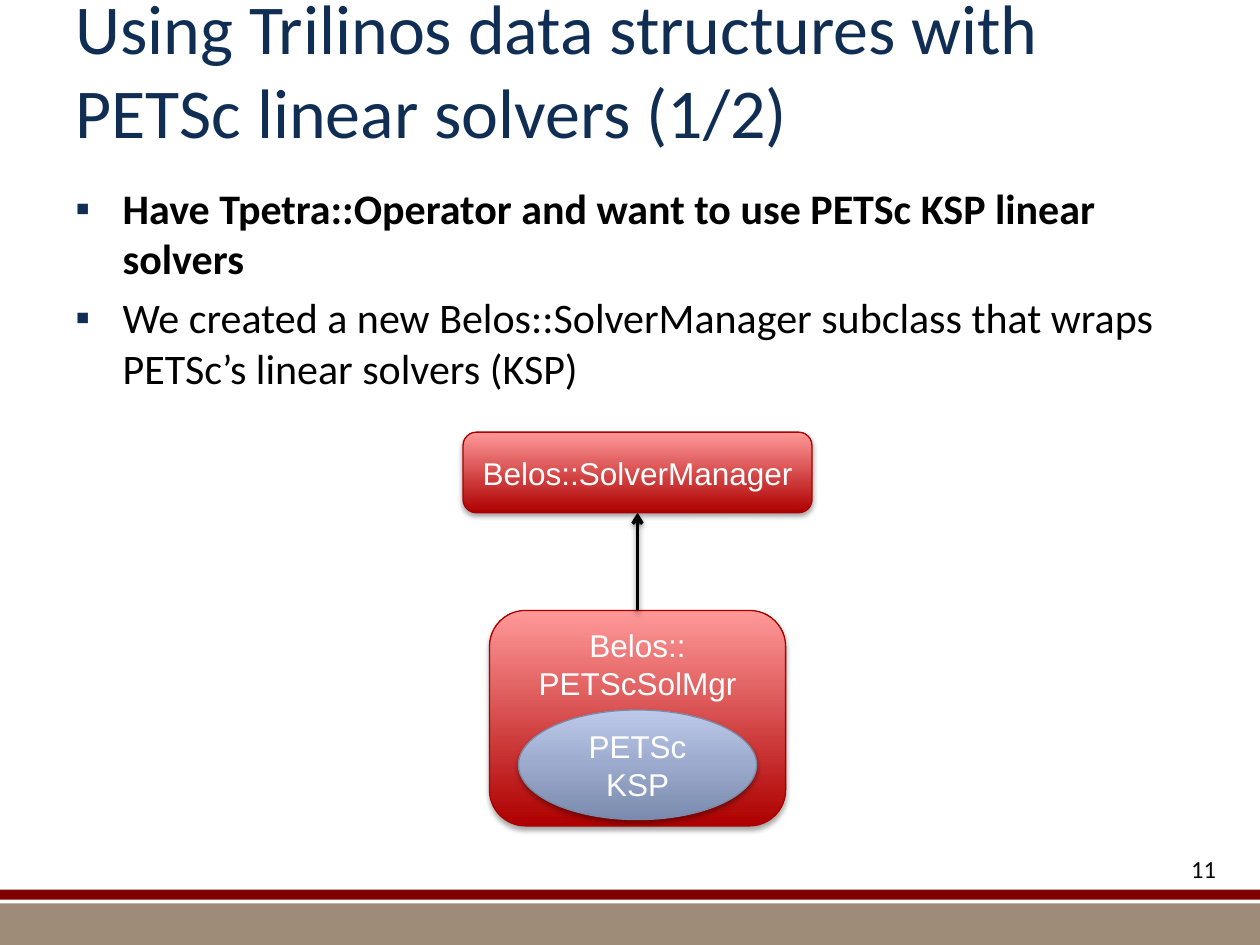
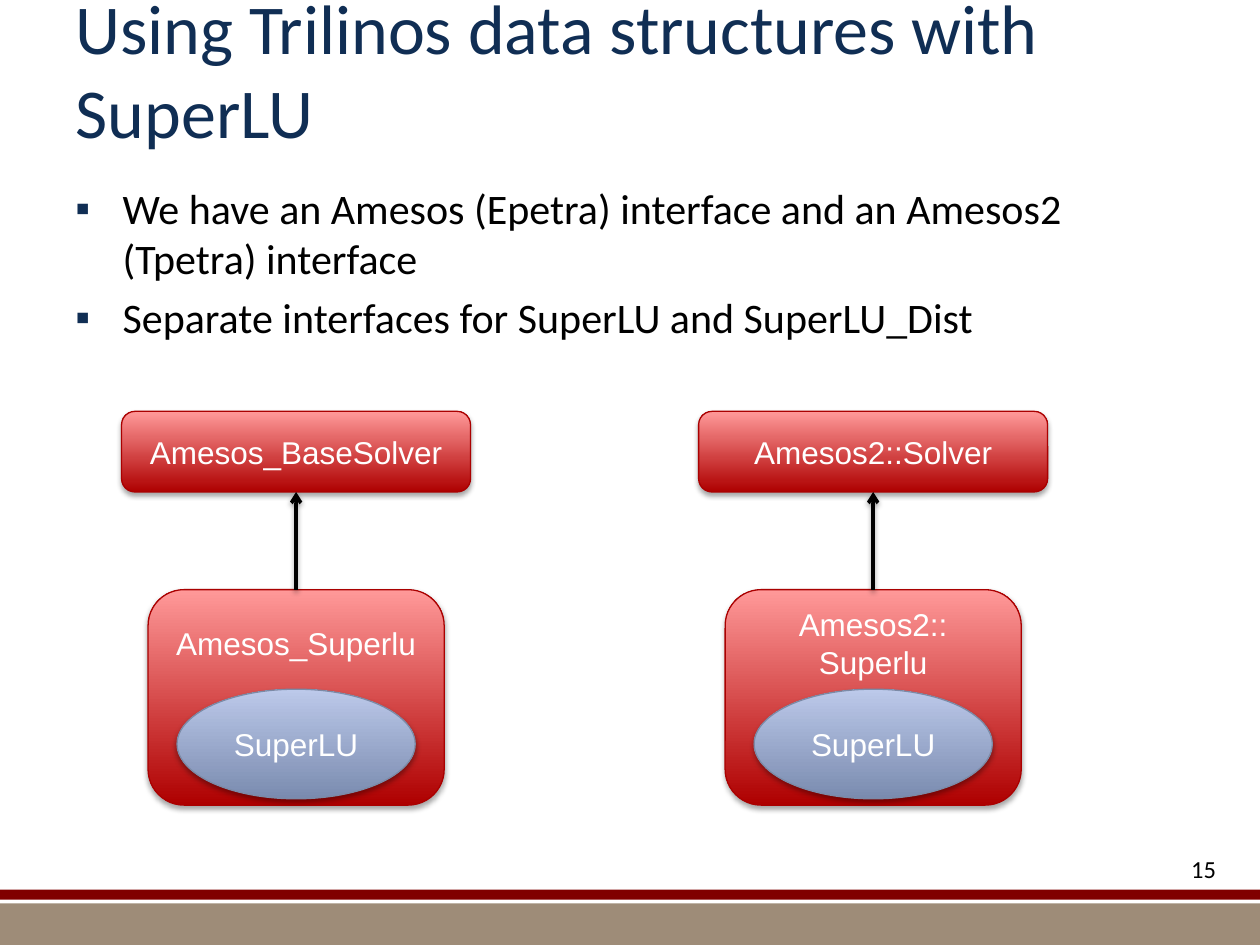
from dataclasses import dataclass

from lxml.etree import SubElement
from pptx import Presentation
from pptx.dml.color import RGBColor
from pptx.enum.shapes import MSO_CONNECTOR, MSO_SHAPE
from pptx.enum.text import MSO_ANCHOR, MSO_AUTO_SIZE, PP_ALIGN
from pptx.oxml.ns import qn
from pptx.util import Emu, Inches, Pt

SLIDE_WIDTH, SLIDE_HEIGHT = Inches(10), Inches(7.5)
COLUMNS, ROWS = 20, 15
TITLE_ONLY = 5


@dataclass(frozen=True)
class Theme:
    navy: str = "102E54"
    black: str = "000000"
    white: str = "FFFFFF"
    tan: str = "9E8C78"
    maroon: str = "800000"
    # Gradients run from bottom to top
    red_gradient: tuple = ("AE0000", "FF9999")
    red_line: str = "AA0000"
    blue_gradient: tuple = ("7A8BAF", "BCC9EA")
    blue_line: str = "7C8AA6"
    text_font: str = "Calibri"
    diagram_font: str = "Arial"
    title_size: float = 40
    body_size: float = 24
    diagram_size: float = 18
    number_size: float = 14
    outline_width: float = 0.75
    arrow_width: float = 2


THEME = Theme()


# Grid: one column and one row are each a fixed share of the slide
def columns(count):
    return Emu(round(SLIDE_WIDTH * count / COLUMNS))


def rows(count):
    return Emu(round(SLIDE_HEIGHT * count / ROWS))


def cell(left, top, width, height):
    return columns(left), rows(top), columns(width), rows(height)


# Text
def write(paragraph, text, size, color, font=THEME.text_font, bold=False,
          alignment=PP_ALIGN.LEFT):
    paragraph.alignment = alignment
    for index, line in enumerate(text.split("\n")):
        if index:
            paragraph.add_line_break()
        run = paragraph.add_run()
        run.text = line
        run.font.name = font
        run.font.size = Pt(size)
        run.font.bold = bold
        run.font.color.rgb = RGBColor.from_string(color)


def paragraphs_for(text_frame, texts):
    """Pair each text with its paragraph, adding paragraphs as needed."""
    for index, text in enumerate(texts):
        yield (text_frame.add_paragraph() if index else text_frame.paragraphs[0]), text


def add_text_frame(slide, area):
    text_frame = slide.shapes.add_textbox(*area).text_frame
    text_frame.word_wrap = True
    return text_frame


def set_bullet(paragraph):
    paragraph.space_before = Pt(THEME.body_size * 0.2)
    properties = paragraph._p.get_or_add_pPr()
    indent = columns(0.75)
    properties.set("marL", str(indent))
    properties.set("indent", str(-indent))
    color = SubElement(properties, qn("a:buClr"))
    SubElement(color, qn("a:srgbClr"), val=THEME.navy)
    SubElement(properties, qn("a:buFont"), typeface=THEME.diagram_font)
    SubElement(properties, qn("a:buChar"), char="▪")


def add_bullets(slide, bullets):
    text_frame = add_text_frame(slide, cell(1, 2.8, 18, 10.6))
    for paragraph, (text, bold) in paragraphs_for(text_frame, bullets):
        set_bullet(paragraph)
        write(paragraph, text, THEME.body_size, THEME.black, bold=bold)


# Shared slide frame
def add_titled_slide(presentation, title, number):
    slide = presentation.slides.add_slide(presentation.slide_layouts[TITLE_ONLY])
    placeholder = slide.shapes.title
    placeholder.left, placeholder.top, placeholder.width, placeholder.height = cell(
        1, 0, 18, 2.16)
    text_frame = placeholder.text_frame
    text_frame.word_wrap = True
    text_frame.auto_size = MSO_AUTO_SIZE.NONE
    text_frame.vertical_anchor = MSO_ANCHOR.MIDDLE
    write(text_frame.paragraphs[0], title, THEME.title_size, THEME.navy)

    number_frame = add_text_frame(slide, cell(18.16, 13.46, 1.34, 0.82))
    write(number_frame.paragraphs[0], number, THEME.number_size, THEME.black,
          alignment=PP_ALIGN.RIGHT)
    return slide


def add_layout_bands(slide):
    """Draw the footer bands and hand them to the layout all slides share."""
    for top, height, color in ((14.34, 0.66, THEME.tan), (14.12, 0.16, THEME.maroon)):
        band = slide.shapes.add_shape(
            MSO_SHAPE.RECTANGLE, *cell(0, top, COLUMNS, height))
        band.shadow.inherit = False
        band.fill.solid()
        band.fill.fore_color.rgb = RGBColor.from_string(color)
        band.line.fill.background()
        slide.slide_layout.shapes.element.append(band.element)


# Diagram
def add_shadow(shape, distance, opacity):
    effects = SubElement(shape.element.spPr, qn("a:effectLst"))
    shadow = SubElement(effects, qn("a:outerShdw"), blurRad=str(Pt(3.1)),
                        dist=str(Pt(distance)), dir="5400000", rotWithShape="0")
    color = SubElement(shadow, qn("a:srgbClr"), val=THEME.black)
    SubElement(color, qn("a:alpha"), val=str(opacity * 1000))


def add_node(slide, kind, area, texts, gradient, outline, bottom_margin=0.1):
    node = slide.shapes.add_shape(kind, *area)
    node.fill.gradient()
    node.fill.gradient_angle = 90
    for stop, color in zip(node.fill.gradient_stops, gradient):
        stop.color.rgb = RGBColor.from_string(color)
    for position, stop in enumerate(node.fill.gradient_stops):
        stop.position = position
    node.line.color.rgb = RGBColor.from_string(outline)
    node.line.width = Pt(THEME.outline_width)
    add_shadow(node, 1.8, 35)

    text_frame = node.text_frame
    text_frame.word_wrap = True
    text_frame.vertical_anchor = MSO_ANCHOR.MIDDLE
    text_frame.margin_bottom = rows(bottom_margin)
    for paragraph, text in paragraphs_for(text_frame, texts):
        write(paragraph, text, THEME.diagram_size, THEME.white, THEME.diagram_font,
              alignment=PP_ALIGN.CENTER)
    return node


def add_inheritance_arrow(slide, subclass, base):
    arrow = slide.shapes.add_connector(MSO_CONNECTOR.STRAIGHT, 0, 0, 0, 0)
    arrow.begin_connect(subclass, 0)
    arrow.end_connect(base, 2)
    arrow.line.color.rgb = RGBColor.from_string(THEME.black)
    arrow.line.width = Pt(THEME.arrow_width)
    SubElement(arrow.line._get_or_add_ln(), qn("a:tailEnd"), type="arrow")
    add_shadow(arrow, 1.6, 38)


def add_wrapper_diagram(slide, center, top, base_name, subclass_names, library):
    """Base class above a subclass that encloses the wrapped library."""
    def centered(offset, width, height):
        return cell(center - width / 2, top + offset, width, height)

    red = THEME.red_gradient, THEME.red_line
    base = add_node(slide, MSO_SHAPE.ROUNDED_RECTANGLE, centered(0, 5.54, 1.28),
                    [base_name], *red)
    # The deep bottom margin keeps the class name above the ellipse
    subclass = add_node(slide, MSO_SHAPE.ROUNDED_RECTANGLE, centered(2.83, 4.7, 3.42),
                        subclass_names, *red, bottom_margin=1.82)
    add_inheritance_arrow(slide, subclass, base)
    add_node(slide, MSO_SHAPE.OVAL, centered(4.41, 3.78, 1.74), [library],
             THEME.blue_gradient, THEME.blue_line)


def main():
    presentation = Presentation()
    presentation.slide_width, presentation.slide_height = SLIDE_WIDTH, SLIDE_HEIGHT

    # PETSc solvers
    petsc = add_titled_slide(
        presentation,
        "Using Trilinos data structures with \nPETSc linear solvers (1/2)", "11")
    add_bullets(petsc, [
        ("Have Tpetra::Operator and want to use PETSc KSP linear solvers", True),
        ("We created a new Belos::SolverManager subclass that wraps "
         "PETSc’s linear solvers (KSP)", False),
    ])
    add_wrapper_diagram(petsc, 10.12, 6.86, "Belos::SolverManager",
                        ["Belos::", "PETScSolMgr"], "PETSc KSP")

    # SuperLU interfaces
    superlu = add_titled_slide(
        presentation, "Using Trilinos data structures with \nSuperLU", "15")
    add_bullets(superlu, [
        ("We have an Amesos (Epetra) interface and an Amesos2 (Tpetra) interface", False),
        ("Separate interfaces for SuperLU and SuperLU_Dist", False),
    ])
    for center, base_name, subclass_name in (
            (4.7, "Amesos_BaseSolver", "Amesos_Superlu"),
            (13.86, "Amesos2::Solver", "Amesos2::\nSuperlu")):
        add_wrapper_diagram(superlu, center, 6.53, base_name, [subclass_name], "SuperLU")

    add_layout_bands(superlu)
    presentation.save("out.pptx")


if __name__ == "__main__":
    main()
